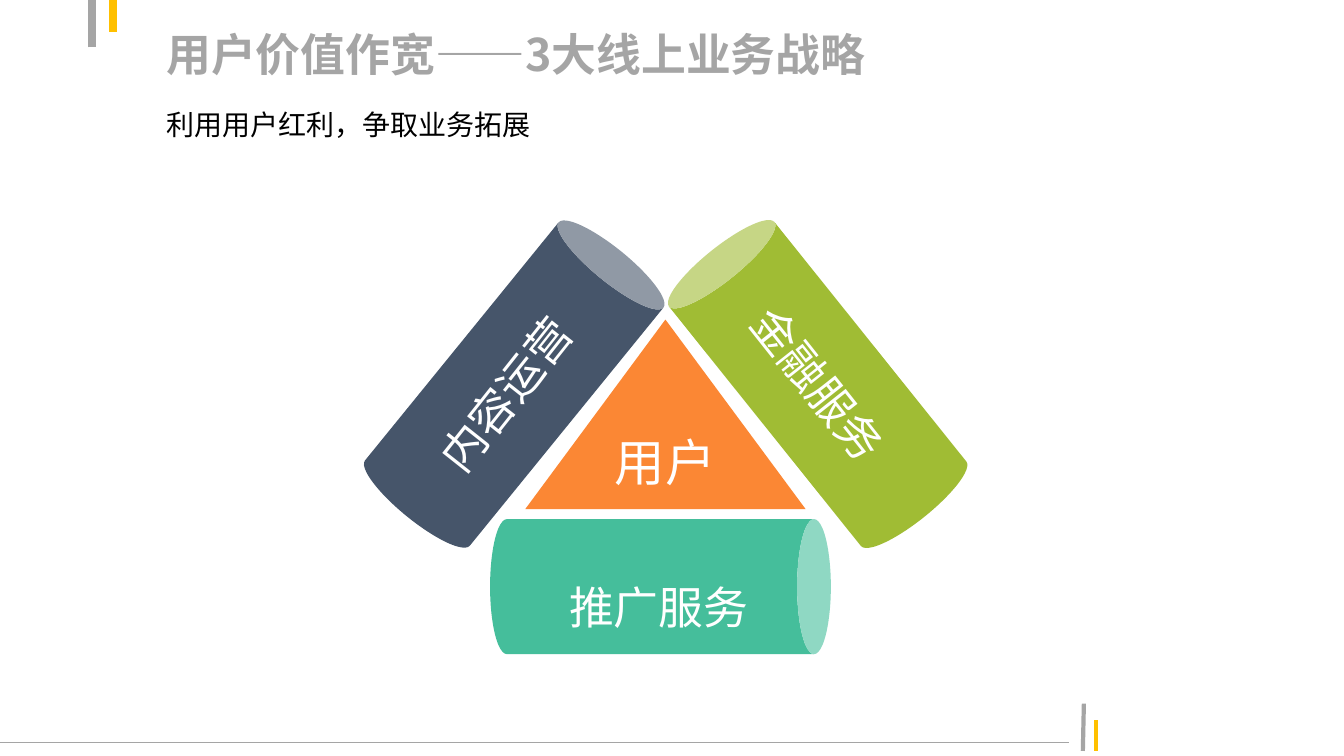
from lxml.etree import SubElement
from pptx import Presentation
from pptx.dml.color import RGBColor
from pptx.enum.shapes import MSO_CONNECTOR, MSO_SHAPE
from pptx.enum.text import MSO_ANCHOR, MSO_AUTO_SIZE, PP_ALIGN
from pptx.oxml.ns import qn
from pptx.util import Inches, Pt

GREY = RGBColor(0xA5, 0xA5, 0xA5)
YELLOW = RGBColor(0xFF, 0xC0, 0x00)
SLATE = RGBColor(0x46, 0x55, 0x6A)
GREEN = RGBColor(0xA0, 0xBC, 0x34)
TEAL = RGBColor(0x45, 0xBE, 0x9B)
ORANGE = RGBColor(0xFB, 0x87, 0x34)
WHITE = RGBColor(0xFF, 0xFF, 0xFF)
BLACK = RGBColor(0x00, 0x00, 0x00)


class StrategySlide:
    """Draws styled elements on one slide."""

    font_name = "Noto Sans CJK SC"

    def __init__(self, slide):
        self.shapes = slide.shapes

    def rule(self, start, end, color, width):
        rule = self.shapes.add_connector(
            MSO_CONNECTOR.STRAIGHT, *map(Inches, start + end))
        rule.line.color.rgb = color
        rule.line.width = Pt(width)
        SubElement(rule._element.spPr, qn("a:effectLst"))

    def solid(self, kind, box, fill, rotation=0):
        solid = self.shapes.add_shape(kind, *map(Inches, box))
        solid.rotation = rotation
        solid.shadow.inherit = False
        solid.fill.solid()
        solid.fill.fore_color.rgb = fill
        solid.line.fill.background()
        return solid

    def label(self, frame, text, size, color, align=PP_ALIGN.LEFT, bold=False):
        frame.text = text
        paragraph = frame.paragraphs[0]
        paragraph.alignment = align
        for run in paragraph.runs:
            run.font.name = self.font_name
            run.font.size = Pt(size)
            run.font.bold = bold
            run.font.color.rgb = color
            east_asian = SubElement(run._r.get_or_add_rPr(), qn("a:ea"))
            east_asian.set("typeface", self.font_name)

    def caption(self, box, text, size, color, align=PP_ALIGN.LEFT,
                anchor=MSO_ANCHOR.MIDDLE, bold=False, rotation=0):
        caption = self.shapes.add_textbox(*map(Inches, box))
        caption.rotation = rotation
        frame = caption.text_frame
        frame.word_wrap = True
        frame.auto_size = MSO_AUTO_SIZE.NONE
        frame.vertical_anchor = anchor
        self.label(frame, text, size, color, align, bold)


def main():
    deck = Presentation()
    deck.slide_width, deck.slide_height = Inches(13.33), Inches(7.5)
    page = StrategySlide(deck.slides.add_slide(deck.slide_layouts[6]))

    for start, end, color, width in (
        ((0, 7.37), (10.6, 7.37), GREY, 0.75),
        ((10.74, 7.45), (10.75, 6.98), GREY, 3),
        ((10.87, 7.45), (10.87, 7.14), YELLOW, 3),
        ((0.91, 0.47), (0.91, 0), GREY, 6),
        ((1.12, 0), (1.12, 0.32), YELLOW, 6),
    ):
        page.rule(start, end, color, width)

    page.caption((1.55, 0.13, 10.79, 0.8), "用户价值作宽——3大线上业务战略",
                 32, GREY, bold=True)
    page.caption((1.55, 1.01, 7.61, 0.44), "利用用户红利，争取业务拓展", 20, BLACK)

    users = page.solid(MSO_SHAPE.ISOSCELES_TRIANGLE, (5.21, 3.17, 2.78, 1.88), ORANGE)
    users.text_frame.vertical_anchor = MSO_ANCHOR.MIDDLE
    page.label(users.text_frame, "用户", 36, WHITE, PP_ALIGN.CENTER)

    for service, fill, can_at, can_turn, name_at, name_turn in (
        ("内容运营", SLATE, (4.43, 2.12), 39.1, (4, 3.59), 308.4),
        ("金融服务", GREEN, (7.44, 2.12), 321.3, (7.1, 3.49), 51.6),
        ("推广服务", TEAL, (5.88, 4.13), 90, (5.52, 5.7), 0),
    ):
        page.solid(MSO_SHAPE.CAN, can_at + (1.34, 3.38), fill, can_turn)
        page.caption(name_at + (2.03, 0.64), service, 32, WHITE,
                     PP_ALIGN.CENTER, MSO_ANCHOR.TOP, rotation=name_turn)

    deck.save("out.pptx")


if __name__ == "__main__":
    main()
